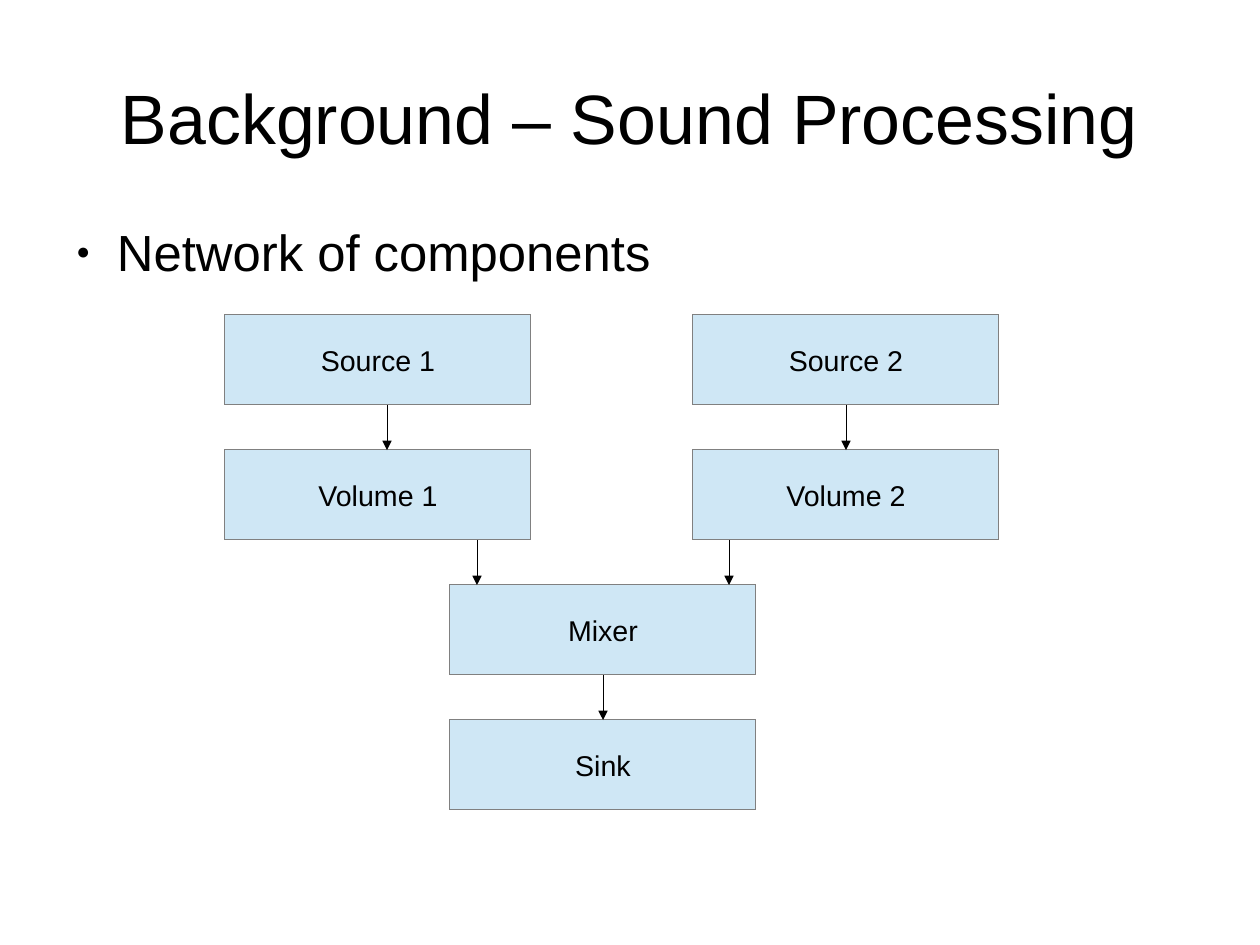
from dataclasses import dataclass

from lxml import etree
from pptx import Presentation
from pptx.dml.color import RGBColor
from pptx.dml.line import LineFormat
from pptx.enum.shapes import MSO_CONNECTOR, MSO_SHAPE
from pptx.enum.text import MSO_ANCHOR, PP_ALIGN
from pptx.oxml.ns import qn
from pptx.slide import Slide
from pptx.text.text import TextFrame
from pptx.util import Pt

EMU_PER_PX = 3600
FONT = "Arial"
COLORS = {"text": "000000", "box": "CFE7F5", "border": "808080", "arrow": "000000"}
CENTER, LEFT = PP_ALIGN.CENTER, PP_ALIGN.LEFT
MIDDLE, TOP = MSO_ANCHOR.MIDDLE, MSO_ANCHOR.TOP
RECTANGLE = MSO_SHAPE.RECTANGLE
STRAIGHT = MSO_CONNECTOR.STRAIGHT

PAGE_WIDTH, PAGE_HEIGHT = 2800, 2100
MARGIN = 140
BOX_WIDTH, BOX_HEIGHT = 680, 200
FIRST_ROW, ROW_STEP = 700, 300
LEFT_COLUMN, MIDDLE_COLUMN, RIGHT_COLUMN = 500, 1000, 1540


@dataclass(frozen=True)
class Component:
    name: str
    left: int
    row: int


@dataclass(frozen=True)
class Flow:
    x: int
    row: int


COMPONENTS = [
    Component("Source 1", LEFT_COLUMN, 0),
    Component("Source 2", RIGHT_COLUMN, 0),
    Component("Volume 1", LEFT_COLUMN, 1),
    Component("Volume 2", RIGHT_COLUMN, 1),
    Component("Mixer", MIDDLE_COLUMN, 2),
    Component("Sink", MIDDLE_COLUMN, 3),
]
FLOWS = [Flow(860, 0), Flow(1880, 0), Flow(1060, 1), Flow(1620, 1), Flow(1340, 2)]


def px(length: int) -> int:
    return length * EMU_PER_PX


def color(name: str) -> RGBColor:
    return RGBColor.from_string(COLORS[name])


def row_top(row: int) -> int:
    return FIRST_ROW + row * ROW_STEP


def set_hairline(line: LineFormat, name: str) -> None:
    line.color.rgb = color(name)
    line._get_or_add_ln().set("w", "0")


def write(frame: TextFrame, text: str, size: int, align: PP_ALIGN,
          anchor: MSO_ANCHOR) -> None:
    frame.text = text
    frame.word_wrap = True
    frame.vertical_anchor = anchor
    para = frame.paragraphs[0]
    para.alignment = align
    span = para.runs[0]
    span.font.name = FONT
    span.font.size = Pt(size)
    span.font.color.rgb = color("text")


def add_text(page: Slide, text: str, top: int, height: int, size: int,
             align: PP_ALIGN, anchor: MSO_ANCHOR) -> TextFrame:
    box = page.shapes.add_textbox(px(MARGIN), px(top), px(PAGE_WIDTH - 2 * MARGIN), px(height))
    frame = box.text_frame
    frame.margin_left = frame.margin_right = 0
    frame.margin_top = frame.margin_bottom = 0
    write(frame, text, size, align, anchor)
    return frame


def add_bullet(frame: TextFrame) -> None:
    para = frame.paragraphs[0]
    properties = para._p.get_or_add_pPr()
    properties.set("marL", str(px(120)))
    properties.set("indent", str(px(-90)))
    bullet_color = etree.SubElement(properties, qn("a:buClr"))
    etree.SubElement(bullet_color, qn("a:srgbClr"), val=COLORS["text"])
    etree.SubElement(properties, qn("a:buSzPct"), val="45000")
    etree.SubElement(properties, qn("a:buFont"), typeface=FONT)
    etree.SubElement(properties, qn("a:buChar"), char="●")
    para.space_after = Pt(14.1)


def add_component(page: Slide, component: Component) -> None:
    box = page.shapes.add_shape(RECTANGLE, px(component.left), px(row_top(component.row)),
                                px(BOX_WIDTH), px(BOX_HEIGHT))
    box.shadow.inherit = False
    box.fill.solid()
    box.fill.fore_color.rgb = color("box")
    set_hairline(box.line, "border")
    write(box.text_frame, component.name, 18, CENTER, MIDDLE)


def add_flow(page: Slide, flow: Flow) -> None:
    arrow = page.shapes.add_connector(STRAIGHT, px(flow.x), px(row_top(flow.row) + BOX_HEIGHT),
                                      px(flow.x), px(row_top(flow.row + 1)))
    set_hairline(arrow.line, "arrow")
    etree.SubElement(arrow.line._get_or_add_ln(), qn("a:tailEnd"), type="triangle")
    etree.SubElement(arrow._element.spPr, qn("a:effectLst"))


def main() -> None:
    deck = Presentation()
    deck.slide_width, deck.slide_height = px(PAGE_WIDTH), px(PAGE_HEIGHT)
    page = deck.slides.add_slide(deck.slide_layouts[6])
    add_text(page, "Background – Sound Processing", 84, 350, 44, CENTER, MIDDLE)
    add_bullet(add_text(page, "Network of components", 491, 1386, 32, LEFT, TOP))
    for component in COMPONENTS:
        add_component(page, component)
    for flow in FLOWS:
        add_flow(page, flow)
    deck.save("out.pptx")


if __name__ == "__main__":
    main()
